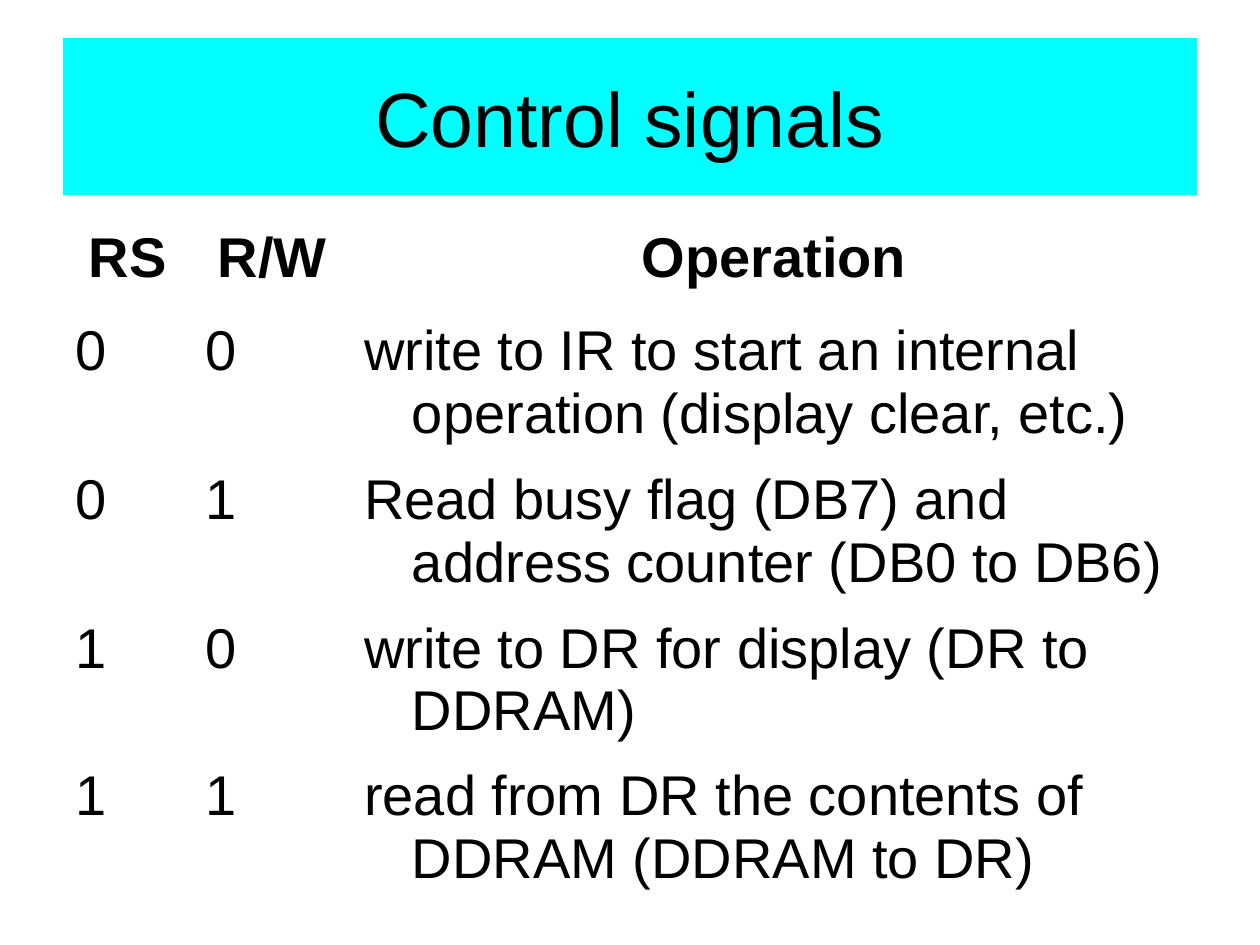
from pptx import Presentation
from pptx.dml.color import RGBColor
from pptx.enum.shapes import MSO_SHAPE
from pptx.enum.text import MSO_ANCHOR, PP_ALIGN
from pptx.util import Inches, Pt

BLACK = RGBColor(0x00, 0x00, 0x00)
CYAN = RGBColor(0x00, 0xFF, 0xFF)
FONT_NAME = "Arial"

LEFT, WIDTH = 0.5, 9
HANGING_INDENT = 0.38
COLUMN_WIDTHS = [1.03, 1.26, 6.71]
ROW_HEIGHTS = [0.74, 1.18, 1.18, 1.17, 1.17]
SIGNAL_ROWS = [
    ("RS", "R/W", "Operation"),
    ("0", "0", "write to IR to start an internal operation (display clear, etc.)"),
    ("0", "1", "Read busy flag (DB7) and address counter (DB0 to DB6)"),
    ("1", "0", "write to DR for display (DR to DDRAM)"),
    ("1", "1", "read from DR the contents of DDRAM (DDRAM to DR)"),
]


def add_text(paragraph, text, size, alignment, bold=False):
    paragraph.alignment = alignment
    run = paragraph.add_run()
    run.text = text
    run.font.name = FONT_NAME
    run.font.size = Pt(size)
    run.font.bold = bold
    run.font.color.rgb = BLACK


def add_title(slide, text):
    shape = slide.shapes.add_shape(
        MSO_SHAPE.RECTANGLE, Inches(LEFT), Inches(0.3), Inches(WIDTH), Inches(1.25))
    shape.shadow.inherit = False
    shape.fill.solid()
    shape.fill.fore_color.rgb = CYAN
    shape.line.fill.background()
    shape.text_frame.word_wrap = True
    shape.text_frame.vertical_anchor = MSO_ANCHOR.MIDDLE
    add_text(shape.text_frame.paragraphs[0], text, 44, PP_ALIGN.CENTER)


def fill_cell(cell, text, is_header):
    cell.fill.background()
    cell.vertical_anchor = MSO_ANCHOR.TOP
    paragraph = cell.text_frame.paragraphs[0]
    properties = paragraph._p.get_or_add_pPr()
    properties.set("marL", str(Inches(HANGING_INDENT)))
    properties.set("indent", str(-Inches(HANGING_INDENT)))
    alignment = PP_ALIGN.CENTER if is_header else PP_ALIGN.LEFT
    add_text(paragraph, text, 32, alignment, bold=is_header)


def add_signal_table(slide):
    table = slide.shapes.add_table(
        len(SIGNAL_ROWS), len(COLUMN_WIDTHS), Inches(LEFT), Inches(1.75),
        Inches(WIDTH), Inches(sum(ROW_HEIGHTS))).table
    table.first_row = False
    table.horz_banding = False
    for column, width in zip(table.columns, COLUMN_WIDTHS):
        column.width = Inches(width)
    for index, (row, height) in enumerate(zip(table.rows, ROW_HEIGHTS)):
        row.height = Inches(height)
        for cell, text in zip(row.cells, SIGNAL_ROWS[index]):
            fill_cell(cell, text, is_header=index == 0)


def main():
    presentation = Presentation()
    presentation.slide_width = Inches(10)
    presentation.slide_height = Inches(7.5)
    slide = presentation.slides.add_slide(presentation.slide_layouts[6])
    add_title(slide, "Control signals")
    add_signal_table(slide)
    presentation.save("out.pptx")


if __name__ == "__main__":
    main()
